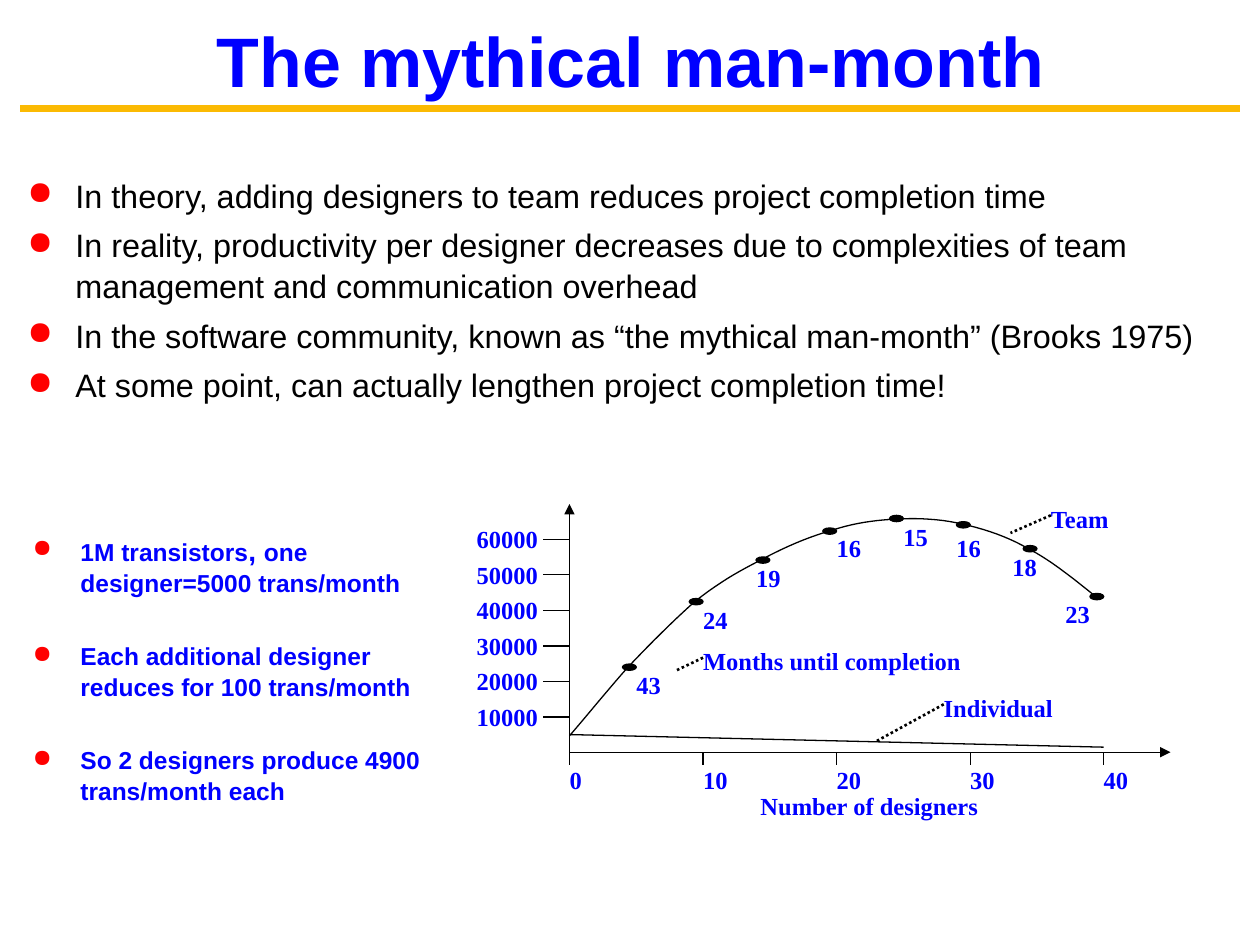
import pptx
import pptx.dml.color
import pptx.enum.dml
import pptx.enum.shapes
import pptx.enum.text
import pptx.oxml
import pptx.util
from lxml import etree

Inches, Pt = pptx.util.Inches, pptx.util.Pt
RGBColor = pptx.dml.color.RGBColor
ALIGN = pptx.enum.text.PP_ALIGN
ANCHOR = pptx.enum.text.MSO_ANCHOR
DASH = pptx.enum.dml.MSO_LINE
qn = pptx.oxml.ns.qn

BLUE = RGBColor(0x00, 0x00, 0xFF)
BLACK = RGBColor(0x00, 0x00, 0x00)
RED = RGBColor(0xFF, 0x00, 0x00)
GOLD = RGBColor(0xFB, 0xBA, 0x03)


def add_text(p, text, font="Times New Roman", size=14, color=BLUE, bold=True):
    r = p.add_run()
    r.text = text
    r.font.name, r.font.size = font, Pt(size)
    r.font.bold, r.font.color.rgb = bold, color


def curve_points(start, segments, steps=10):
    """Sample joined cubic Bezier segments, given as x1, y1, x2, y2, x3, y3."""
    points, (x0, y0) = [], start
    for x1, y1, x2, y2, x3, y3 in segments:
        for i in range(1, steps + 1):
            t = i / steps
            a, b, c, d = (1 - t) ** 3, 3 * t * (1 - t) ** 2, 3 * t * t * (1 - t), t ** 3
            points.append((Inches(a * x0 + b * x1 + c * x2 + d * x3),
                           Inches(a * y0 + b * y1 + c * y2 + d * y3)))
        x0, y0 = x3, y3
    return points


class Deck:
    """Holds the current slide and its drawing style."""

    def __init__(self, s):
        self.s = s
        self.width = 0.75

    def box(self, x, y, w, h, inset=(0, 0), anchor=ANCHOR.TOP):
        tf = self.s.shapes.add_textbox(Inches(x), Inches(y), Inches(w), Inches(h)).text_frame
        tf.word_wrap = True
        tf.vertical_anchor = anchor
        tf.margin_left = tf.margin_right = Inches(inset[0])
        tf.margin_top = tf.margin_bottom = Inches(inset[1])
        return tf

    def label(self, text, x, y, w=0.42, h=0.19, align=ALIGN.LEFT):
        p = self.box(x, y, w, h).paragraphs[0]
        p.alignment = align
        add_text(p, text)

    def bullets(self, items, x, y, w, h, gap, **fmt):
        """Each item is a list of (text, size) runs."""
        tf = self.box(x, y, w, h, inset=(0.1, 0.05))
        for i, runs in enumerate(items):
            p = tf.paragraphs[0] if i == 0 else tf.add_paragraph()
            pPr = p._p.get_or_add_pPr()
            pPr.set("marL", str(Inches(0.38)))
            pPr.set("indent", str(-Inches(0.38)))
            clr = etree.SubElement(pPr, qn("a:buClr"))
            etree.SubElement(clr, qn("a:srgbClr"), val=str(RED))
            etree.SubElement(pPr, qn("a:buChar"), char="●")
            p.line_spacing = 1.05
            if i:
                p.space_before = Pt(gap)
            for text, size in runs:
                add_text(p, text, font="Arial", size=size, **fmt)

    def line(self, x1, y1, x2, y2, color=BLACK, width=None, dash=None, arrow=False):
        c = self.s.shapes.add_connector(pptx.enum.shapes.MSO_CONNECTOR.STRAIGHT,
                                        Inches(x1), Inches(y1), Inches(x2), Inches(y2))
        c.line.color.rgb = color
        c.line.width = Pt(width or self.width)
        if dash:
            c.line.dash_style = dash
        if arrow:
            etree.SubElement(c.line._get_or_add_ln(), qn("a:tailEnd"), type="triangle")
        etree.SubElement(c._element.spPr, qn("a:effectLst"))

    def outline(self, sp):
        sp.shadow.inherit = False
        sp.line.color.rgb = BLACK
        sp.line.width = Pt(self.width)

    def dot(self, x, y, w=0.11, h=0.05):
        sp = self.s.shapes.add_shape(pptx.enum.shapes.MSO_SHAPE.OVAL,
                                     Inches(x), Inches(y), Inches(w), Inches(h))
        sp.fill.solid()
        sp.fill.fore_color.rgb = BLACK
        self.outline(sp)

    def curve(self, start, segments):
        fb = self.s.shapes.build_freeform(Inches(start[0]), Inches(start[1]))
        fb.add_line_segments(curve_points(start, segments), close=False)
        sp = fb.convert_to_shape()
        sp.fill.background()
        self.outline(sp)


def main():
    prs = pptx.Presentation()
    prs.slide_width, prs.slide_height = Inches(10), Inches(7.5)
    d = Deck(prs.slides.add_slide(prs.slide_layouts[6]))

    # Title and rule
    d.line(0.16, 0.86, 9.84, 0.86, color=GOLD, width=3.75)
    p = d.box(0.19, 0.14, 9.63, 0.67, anchor=ANCHOR.MIDDLE).paragraphs[0]
    p.alignment = ALIGN.CENTER
    add_text(p, "The mythical man-month", font="Arial", size=40)

    # Main points
    points = [
        "In theory, adding designers to team reduces project completion time",
        "In reality, productivity per designer decreases due to complexities of team "
        "management and communication overhead",
        "In the software community, known as “the mythical man-month” (Brooks 1975)",
        "At some point, can actually lengthen project completion time!",
    ]
    d.bullets([[(t, 18.5)] for t in points], 0.12, 1.33, 9.87, 2.25,
              gap=5, color=BLACK, bold=False)

    # Axes with ticks and labels
    x0, y0 = 4.52, 5.97
    d.line(x0, y0, 9.29, y0, arrow=True)
    d.line(x0, y0, x0, 4, arrow=True)
    for i in range(5):
        x = x0 + 1.06 * i
        d.line(x, y0, x, y0 + 0.1)
        d.label(str(10 * i), x, 6.07)
    for i in range(6):
        y = 5.69 - 0.282 * i
        d.line(x0, y, 4.31, y)
        d.label(str(10000 * (i + 1)), 3.42, y - 0.12, w=0.85, align=ALIGN.RIGHT)
    d.label("Number of designers", 4.62, 6.28, w=4.56, align=ALIGN.CENTER)

    # Individual productivity and team productivity
    d.line(x0, 5.83, 8.76, 5.93)
    d.curve((4.52, 5.84), [
        (4.6, 5.75, 4.82, 5.48, 4.98, 5.3), (5.15, 5.12, 5.35, 4.92, 5.52, 4.77),
        (5.7, 4.63, 5.85, 4.54, 6.03, 4.45), (6.21, 4.35, 6.42, 4.26, 6.6, 4.21),
        (6.78, 4.15, 6.94, 4.13, 7.11, 4.12), (7.29, 4.11, 7.47, 4.12, 7.64, 4.16),
        (7.82, 4.2, 8, 4.26, 8.17, 4.36), (8.35, 4.45, 8.59, 4.65, 8.69, 4.73)])
    for i, y in enumerate([5.27, 4.75, 4.42, 4.19, 4.09, 4.14, 4.33, 4.71]):
        d.dot(4.94 + 0.53 * i, y)

    # Months until completion at each dot
    for months, x, y in [("43", 5.05, 5.32), ("24", 5.58, 4.8), ("19", 6, 4.47),
                         ("16", 6.64, 4.23), ("15", 7.17, 4.14), ("16", 7.59, 4.23)]:
        d.label(months, x, y)
    for months, x, y in [("18", 7.81, 4.38), ("23", 8.23, 4.75)]:
        d.label(months, x, y, align=ALIGN.RIGHT)

    # Callouts with dotted leaders
    for text, x, y, w, tip_x, tip_y in [
            ("Team", 8.34, 4, 1.17, 8.02, 4.23),
            ("Individual", 7.49, 5.5, 1.27, 6.96, 5.88),
            ("Months until completion", 5.58, 5.13, 2.97, 5.37, 5.32)]:
        d.label(text, x, y, w=w)
        d.line(x, y + 0.09, tip_x, tip_y, width=1.5, dash=DASH.ROUND_DOT)

    # Worked example
    d.bullets([
        [("1M transistors", 14), (", ", 16), ("one designer=5000 trans/month", 14)],
        [("Each additional designer reduces for 100 trans/month", 14)],
        [("So 2 designers produce 4900 trans/month each", 14)],
    ], 0.16, 4.17, 3.55, 1.83, gap=24)

    prs.save("out.pptx")


if __name__ == "__main__":
    main()
